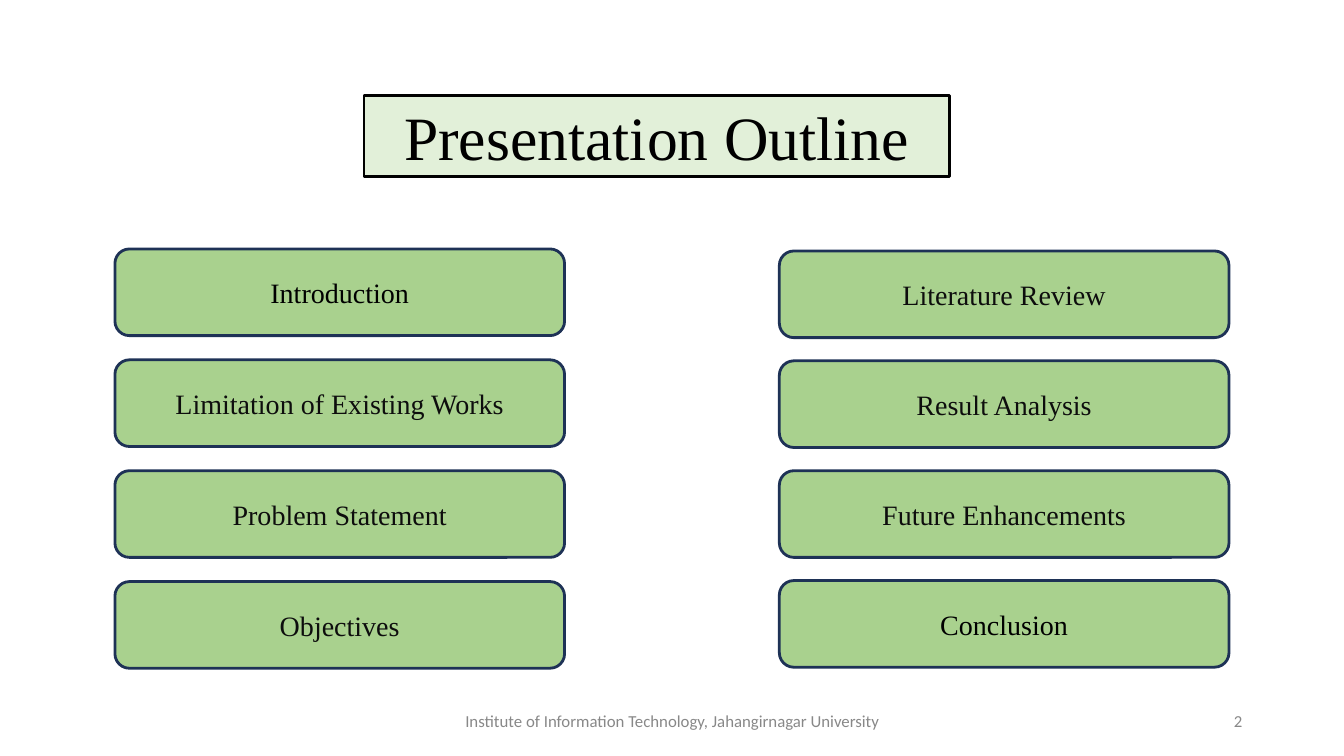
import pptx
import pptx.util
import pptx.oxml
from pptx.dml.color import RGBColor
from pptx.enum.shapes import MSO_SHAPE
from pptx.enum.text import MSO_ANCHOR, MSO_AUTO_SIZE, PP_ALIGN
from pptx.oxml.ns import nsdecls
from pptx.util import Inches

BLACK = RGBColor(0x00, 0x00, 0x00)
INK = RGBColor(0x0D, 0x0D, 0x0D)
GREY = RGBColor(0x88, 0x88, 0x88)
NAVY = RGBColor(0x1E, 0x32, 0x56)
GREEN = RGBColor(0xA9, 0xD1, 0x8E)
PALE = RGBColor(0xE2, 0xF0, 0xD9)
SERIF = "Times New Roman"
SANS = "Calibri"

# Each column: left, first top, row pitch, topics with text colour
COLUMNS = [
    (1.14, 2.47, 1.1, [("Introduction", BLACK),
                       ("Limitation of Existing Works", INK),
                       ("Problem Statement", INK),
                       ("Objectives", INK)]),
    (7.73, 2.49, 1.09, [("Literature Review", INK),
                        ("Result Analysis", INK),
                        ("Future Enhancements", INK),
                        ("Conclusion", BLACK)]),
]


def write(shape, text, size, font, color, align=PP_ALIGN.CENTER):
    frame = shape.text_frame
    frame.text = text
    frame.word_wrap = True
    frame.auto_size = MSO_AUTO_SIZE.NONE
    frame.vertical_anchor = MSO_ANCHOR.MIDDLE
    line = frame.paragraphs[0]
    line.alignment = align
    style = line.runs[0].font
    style.size = pptx.util.Pt(size)
    style.name = font
    style.color.rgb = color


def paint(shape, fill, edge):
    shape.fill.solid()
    shape.fill.fore_color.rgb = fill
    shape.line.color.rgb = edge
    shape.line.width = pptx.util.Pt(2)


def add_title(slide, text):
    title = slide.shapes.title
    title.left, title.top = Inches(3.61), Inches(0.95)
    title.width, title.height = Inches(5.81), Inches(0.8)
    # Round the placeholder's corners
    title.element.spPr.append(pptx.oxml.parse_xml(
        f'<a:prstGeom {nsdecls("a")} prst="roundRect"><a:avLst/></a:prstGeom>'))
    paint(title, PALE, BLACK)
    write(title, text, 44, SERIF, BLACK)


def add_topic(slide, left, top, text, color):
    box = slide.shapes.add_shape(
        MSO_SHAPE.ROUNDED_RECTANGLE,
        Inches(left), Inches(top), Inches(4.46), Inches(0.86))
    box.shadow.inherit = False
    paint(box, GREEN, NAVY)
    write(box, text, 20, SERIF, color)


def add_note(slide, left, width, text, align):
    box = slide.shapes.add_textbox(
        Inches(left), Inches(6.95), Inches(width), Inches(0.4))
    write(box, text, 12, SANS, GREY, align)


def main():
    deck = pptx.Presentation()
    deck.slide_width, deck.slide_height = Inches(13.33), Inches(7.5)
    slide = deck.slides.add_slide(deck.slide_layouts.get_by_name("Title Only"))

    add_title(slide, "Presentation Outline")

    # Two columns of topics
    for left, top, pitch, topics in COLUMNS:
        for row, (text, color) in enumerate(topics):
            add_topic(slide, left, top + row * pitch, text, color)

    # Footer and slide number
    add_note(slide, 4.42, 4.5,
             "Institute of Information Technology, Jahangirnagar University",
             PP_ALIGN.CENTER)
    add_note(slide, 9.42, 3, "2", PP_ALIGN.RIGHT)

    deck.save("out.pptx")


if __name__ == "__main__":
    main()
